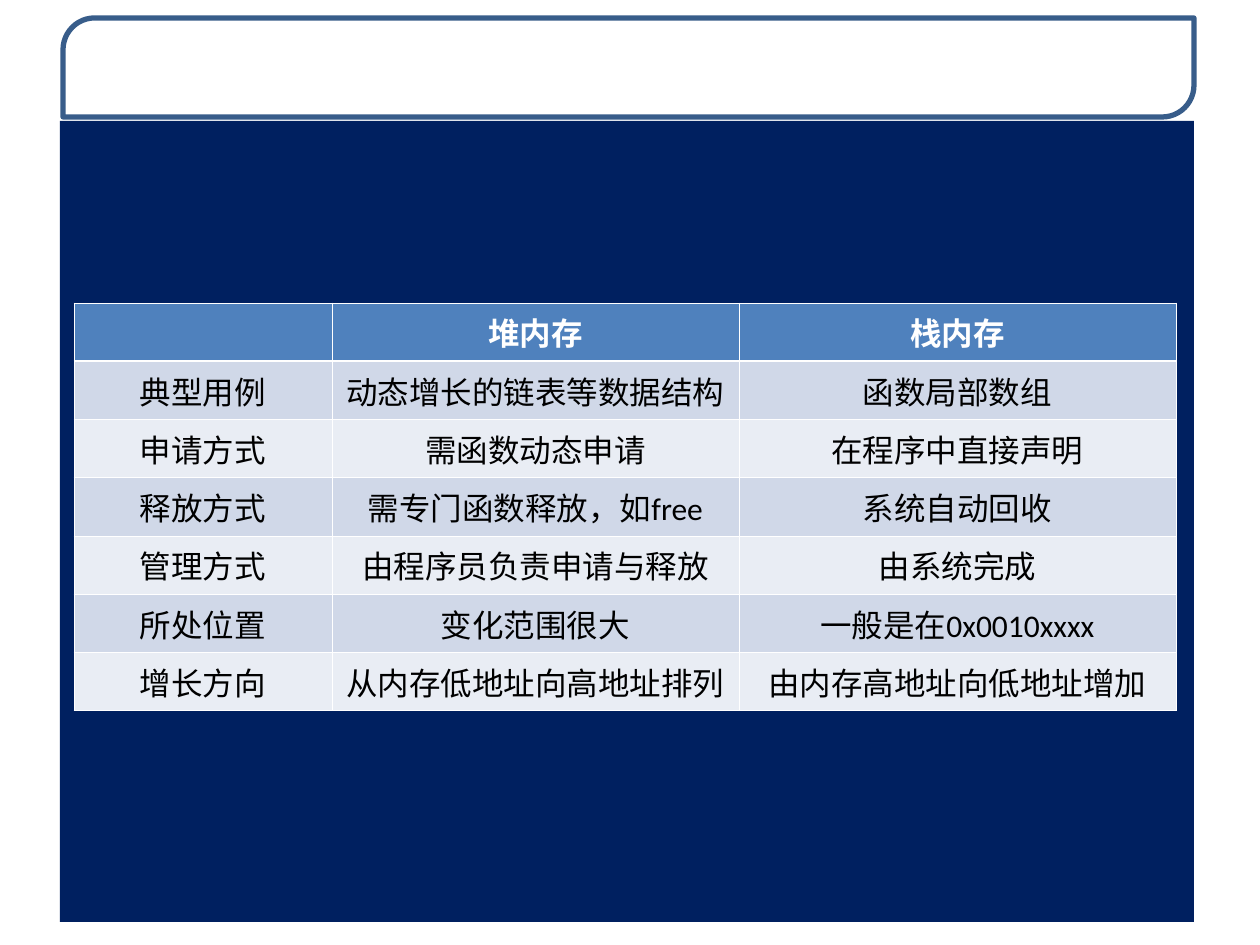
from lxml.etree import SubElement as Sub
from pptx import Presentation
from pptx.dml.color import RGBColor
from pptx.enum.shapes import MSO_SHAPE as Kind
from pptx.enum.text import PP_ALIGN as Align
from pptx.oxml.ns import qn
from pptx.util import Pt

PX = 914400 // 126
WHITE, BLACK, NAVY, EDGE = "FFFFFF", "000000", "002060", "385D8A"
HEAD, BANDS = "4F81BD", ("E9EDF4", "D0D8E8")
THIN, THICK = 0.45, 1.47

ROWS = [
    ("", "堆内存", "栈内存"),
    ("典型用例", "动态增长的链表等数据结构", "函数局部数组"),
    ("申请方式", "需函数动态申请", "在程序中直接声明"),
    ("释放方式", "需专门函数释放，如free", "系统自动回收"),
    ("管理方式", "由程序员负责申请与释放", "由系统完成"),
    ("所处位置", "变化范围很大", "一般是在0x0010xxxx"),
    ("增长方向", "从内存低地址向高地址排列", "由内存高地址向低地址增加"),
]


def paint(fill, hue):
    fill.solid()
    fill.fore_color.rgb = RGBColor.from_string(hue)


class Deck:
    def __init__(self, wide, high, font, size):
        self.show = Presentation()
        self.show.slide_width, self.show.slide_height = wide * PX, high * PX
        self.slide = self.show.slides.add_slide(self.show.slide_layouts[6])
        self.font, self.size = font, size

    def shape(self, kind, box, hue, edge=None, width=0):
        item = self.slide.shapes.add_shape(kind, *(n * PX for n in box))
        item.shadow.inherit = False
        paint(item.fill, hue)
        if edge:
            paint(item.line.fill, edge)
            item.line.width = Pt(width)
        else:
            item.line.fill.background()
        return item

    def fade(self, item, share):
        """Set the opacity of a solid fill, in percent."""
        tone = item.fill._xPr.find(qn("a:solidFill"))[0]
        Sub(tone, qn("a:alpha"), val=str(share * 1000))

    def rule(self, cell, side, width):
        """Draw one white border; call it before the cell is filled."""
        line = Sub(cell._tc.get_or_add_tcPr(), qn("a:ln" + side), w=str(Pt(width)))
        Sub(Sub(line, qn("a:solidFill")), qn("a:srgbClr"), val=WHITE)

    def cell(self, cell, text, row):
        top = THICK if row == 1 else THIN
        low = THICK if row == 0 else THIN
        for side, width in zip("LRTB", (THIN, THIN, top, low)):
            self.rule(cell, side, width)
        paint(cell.fill, BANDS[row % 2] if row else HEAD)
        cell.text = text
        para = cell.text_frame.paragraphs[0]
        para.alignment = Align.CENTER
        para.font.name, para.font.size = self.font, Pt(self.size)
        para.font.bold = row == 0
        paint(para.font.fill, BLACK if row else WHITE)

    def table(self, left, top, cols, high, rows):
        grid = self.slide.shapes.add_table(
            len(rows), len(cols), left * PX, top * PX,
            sum(cols) * PX, high * len(rows) * PX).table
        for col, wide in zip(grid.columns, cols):
            col.width = wide * PX
        for r, row in enumerate(rows):
            for c, text in enumerate(row):
                self.cell(grid.cell(r, c), text, r)


def main():
    deck = Deck(1260, 945, "Calibri", 18)
    frame = deck.shape(Kind.ROUND_2_DIAG_RECTANGLE, (63, 18, 1131, 99), WHITE, EDGE, 3)
    frame.adjustments[0], frame.adjustments[1] = 0.32, 0
    deck.fade(frame, 85)
    deck.shape(Kind.RECTANGLE, (60, 121, 1134, 801), NAVY)
    deck.table(74, 303, (258, 407, 437), 51, ROWS)
    deck.show.save("out.pptx")


if __name__ == "__main__":
    main()
